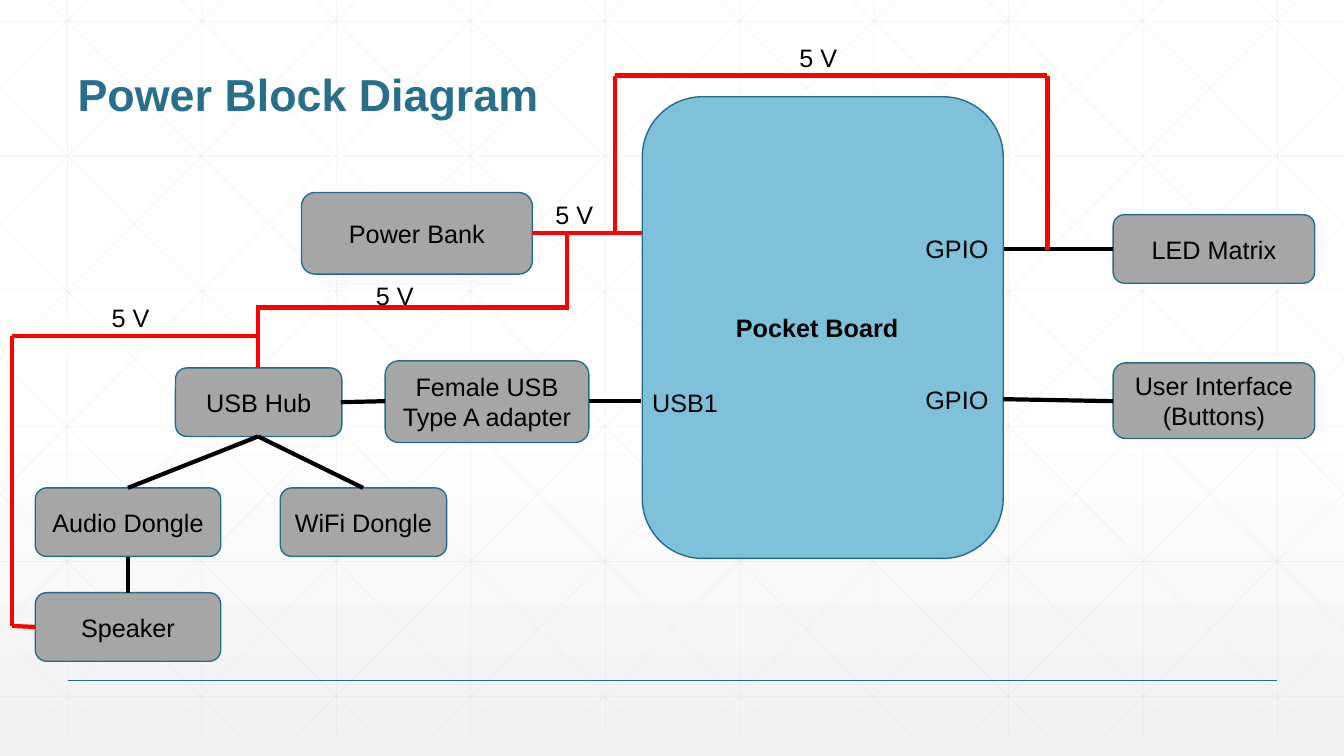
from copy import deepcopy
from pptx import Presentation
from pptx.dml.color import RGBColor
from pptx.enum.shapes import MSO_CONNECTOR, MSO_SHAPE
from pptx.enum.text import MSO_ANCHOR, PP_ALIGN
from pptx.oxml.ns import qn
from pptx.util import Inches, Pt
from lxml.etree import SubElement

COLORS = {
    "white": "FFFFFF", "fade": "F2F2F2", "grid": "D9D9D9", "title": "276F8B",
    "outline": "266D8A", "board": "7FC1DB", "block": "A6A6A6",
    "power": "FF0000", "signal": "000000", "text": "000000",
}
WIDTH, HEIGHT = 13.33, 7.5

prs = Presentation()
prs.slide_width, prs.slide_height = Inches(WIDTH), Inches(HEIGHT)
slide = prs.slides.add_slide(prs.slide_layouts[5])
shapes = slide.shapes


def add_line(x1, y1, x2, y2, color, weight, alpha=None):
    line = shapes.add_connector(MSO_CONNECTOR.STRAIGHT, Inches(x1), Inches(y1),
                                Inches(x2), Inches(y2))
    line.line.color.rgb = RGBColor.from_string(COLORS[color])
    line.line.width = Pt(weight)
    properties = line._element.spPr
    if alpha:
        rgb = properties.find(".//" + qn("a:srgbClr"))
        SubElement(rgb, qn("a:alpha")).set("val", str(alpha * 1000))
    SubElement(properties, qn("a:effectLst"))


def write(paragraph, text, size=18, color="text", bold=False):
    run = paragraph.add_run()
    run.text = text
    run.font.name = "Arial"
    run.font.size = Pt(size)
    run.font.bold = bold
    run.font.color.rgb = RGBColor.from_string(COLORS[color])


# Background: white fading to light grey at the bottom
backdrop = slide.background.fill
backdrop.gradient()
backdrop.gradient_angle = 270
stop_list = slide.element.find(".//" + qn("a:gsLst"))
stop_list.insert(1, deepcopy(stop_list[0]))
for stop, (position, color) in zip(backdrop.gradient_stops,
                                   [(0, "white"), (0.53, "white"), (1, "fade")]):
    stop.position = position
    stop.color.rgb = RGBColor.from_string(COLORS[color])

# Background grid: verticals, horizontals and diagonals clipped at the edges
TOP, BOTTOM, RUN = -0.21, 7.29, 7.46
slope = (BOTTOM - TOP) / RUN
grid = [(0.67 + i * 4 / 3, TOP, 0.67 + i * 4 / 3, BOTTOM) for i in range(10)]
grid += [(0, 0.21 + i * 1.34, WIDTH, 0.21 + i * 1.34) for i in range(6)]
for i in range(-5, 10):
    start = 0.25 + i * 4 / 3
    x1, x2 = max(start, 0), min(start + RUN, WIDTH)
    y1, y2 = TOP + (x1 - start) * slope, TOP + (x2 - start) * slope
    grid += [(x1, y1, x2, y2), (WIDTH - x1, y1, WIDTH - x2, y2)]
for ends in grid:
    add_line(*ends, "grid", 0.5, alpha=25)
add_line(0.67, 6.75, 12.67, 6.75, "title", 1)

# Title, brought in front of the grid
title = shapes.title
title.left, title.top = Inches(0.67), Inches(0.25)
title.width, title.height = Inches(12), Inches(1)
title.text_frame.vertical_anchor = MSO_ANCHOR.BOTTOM
heading = title.text_frame.paragraphs[0]
heading.alignment = PP_ALIGN.LEFT
heading.line_spacing = 0.9
write(heading, "Power Block Diagram", 32, "title", True)
shapes._spTree.append(title._element)

# Blocks
blocks = [
    (6.37, 0.96, 3.58, 4.58, "board", []),
    (2.99, 1.91, 2.29, 0.81, "block", ["Power Bank"]),
    (1.74, 3.65, 1.65, 0.68, "block", ["USB Hub"]),
    (3.82, 3.58, 2.02, 0.81, "block", ["Female USB Type A adapter"]),
    (11.04, 2.13, 2, 0.68, "block", ["LED Matrix"]),
    (11.04, 3.6, 2, 0.75, "block", ["User Interface", "(Buttons)"]),
    (2.78, 4.84, 1.65, 0.68, "block", ["WiFi Dongle"]),
    (0.35, 4.84, 1.84, 0.68, "block", ["Audio Dongle"]),
    (0.35, 5.88, 1.84, 0.68, "block", ["Speaker"]),
]
for x, y, w, h, color, lines in blocks:
    block = shapes.add_shape(MSO_SHAPE.ROUNDED_RECTANGLE, Inches(x), Inches(y),
                             Inches(w), Inches(h))
    block.shadow.inherit = False
    block.fill.solid()
    block.fill.fore_color.rgb = RGBColor.from_string(COLORS[color])
    block.line.color.rgb = RGBColor.from_string(COLORS["outline"])
    block.line.width = Pt(1)
    frame = block.text_frame
    frame.vertical_anchor = MSO_ANCHOR.MIDDLE
    for i, text in enumerate(lines):
        paragraph = frame.add_paragraph() if i else frame.paragraphs[0]
        paragraph.alignment = PP_ALIGN.CENTER
        write(paragraph, text)

# Signal wires (black), then 5 V power wires (red)
wires = {
    "signal": [
        (5.84, 3.98, 6.36, 3.98), (9.96, 2.47, 11.04, 2.47),
        (3.38, 3.99, 3.82, 3.98), (2.56, 4.33, 3.6, 4.84),
        (2.56, 4.33, 1.27, 4.84), (1.27, 5.53, 1.27, 5.88),
        (9.95, 3.96, 11.04, 3.98),
    ],
    "power": [
        (5.28, 2.31, 6.37, 2.31), (6.1, 2.31, 6.1, 0.75),
        (6.1, 0.75, 10.38, 0.75), (10.39, 0.75, 10.39, 2.48),
        (5.62, 2.31, 5.62, 3.08), (5.61, 3.05, 2.54, 3.05),
        (2.56, 3.05, 2.56, 3.65), (2.56, 3.33, 0.12, 3.33),
        (0.12, 3.33, 0.12, 6.21), (0.12, 6.21, 0.35, 6.22),
    ],
}
for color, segments in wires.items():
    for ends in segments:
        add_line(*ends, color, 3)

# Voltage, pin and board labels
labels = [
    (7.83, 0.37, 0.83, "5 V", False), (5.41, 1.93, 0.83, "5 V", False),
    (3.63, 2.73, 0.83, "5 V", False), (1.01, 2.95, 0.83, "5 V", False),
    (6.37, 3.79, 0.88, "USB1", False), (9.08, 3.76, 0.88, "GPIO", False),
    (9.08, 2.27, 0.88, "GPIO", False), (7.2, 3.05, 1.92, "Pocket Board", True),
]
for x, y, w, text, bold in labels:
    label = shapes.add_textbox(Inches(x), Inches(y), Inches(w), Inches(0.4))
    label.text_frame.word_wrap = True
    write(label.text_frame.paragraphs[0], text, bold=bold)

prs.save("out.pptx")
